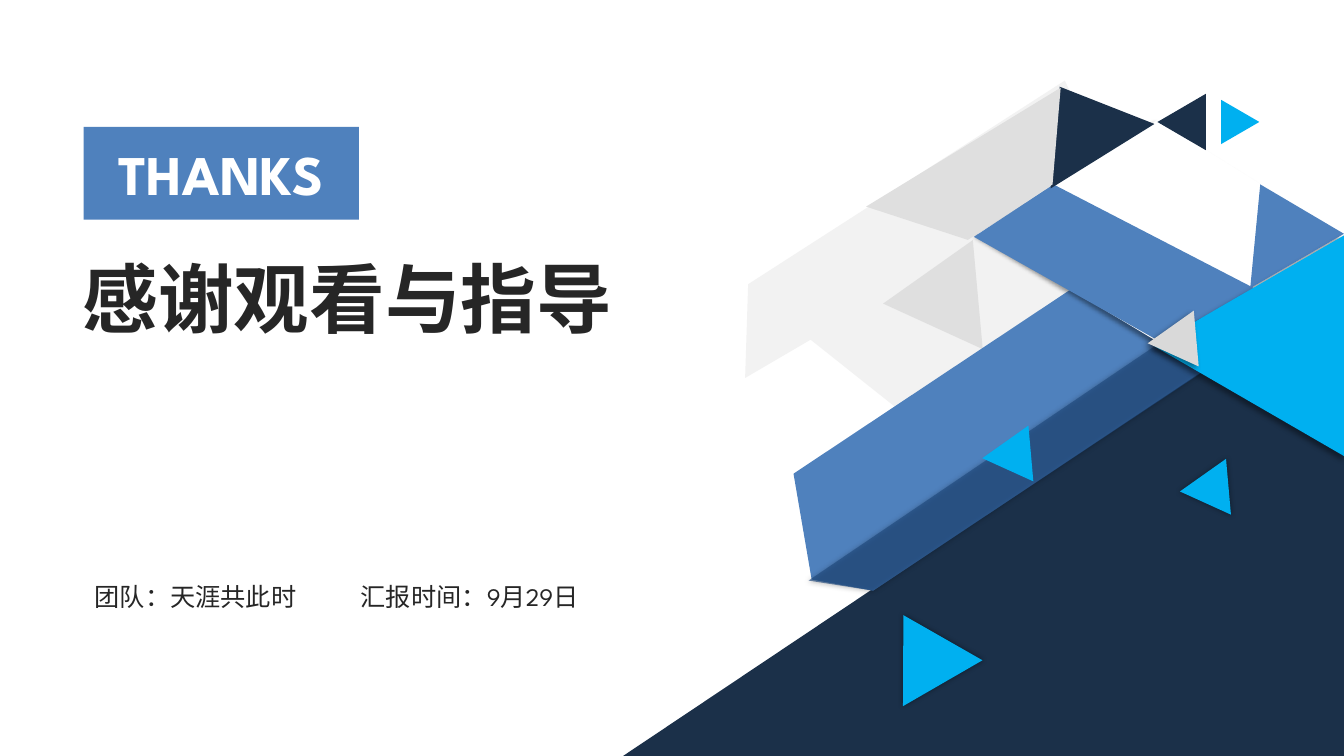
from dataclasses import dataclass

from lxml import etree
from pptx import Presentation
from pptx.dml.color import RGBColor
from pptx.enum.shapes import MSO_SHAPE
from pptx.enum.text import MSO_ANCHOR, MSO_AUTO_SIZE, PP_ALIGN
from pptx.oxml.ns import qn
from pptx.util import Inches, Pt

TRIANGLE, RIGHT_TRIANGLE = MSO_SHAPE.ISOSCELES_TRIANGLE, MSO_SHAPE.RIGHT_TRIANGLE
RECTANGLE = MSO_SHAPE.RECTANGLE
TOP, MIDDLE = MSO_ANCHOR.TOP, MSO_ANCHOR.MIDDLE
LEFT, CENTER, JUSTIFY = PP_ALIGN.LEFT, PP_ALIGN.CENTER, PP_ALIGN.JUSTIFY
GROW = MSO_AUTO_SIZE.SHAPE_TO_FIT_TEXT


@dataclass(frozen=True)
class Theme:
    """Colours, font and type sizes of the slide."""
    white: str = "FFFFFF"
    pale: str = "F2F2F2"
    silver: str = "DFDFDF"
    grey: str = "D9D9D9"
    ink: str = "262626"
    navy: str = "1B3049"
    deep: str = "1F497D"
    blue: str = "4F81BD"
    cyan: str = "00B0F0"
    black: str = "000000"
    font: str = "League Spartan"
    headline: int = 54
    badge: int = 40
    detail: int = 18


THEME = Theme()
GLOW = (4, 0, 50)  # shadow blur, distance (points) and direction (degrees)
CAST = (4, 3, 135)
SOFT_CAST = (3, 3, 135)


def add_alpha(color, percent):
    """Make a colour element partly transparent."""
    etree.SubElement(color, qn("a:alpha"), val=str(percent * 1000))


def paint(shape, color, alpha=None, shadow=None):
    """Give a shape a plain fill, no line and an optional shadow."""
    shape.shadow.inherit = False
    shape.line.fill.background()
    shape.fill.solid()
    shape.fill.fore_color.rgb = RGBColor.from_string(color)
    properties = shape._element.spPr
    if alpha:
        add_alpha(properties.find(".//" + qn("a:solidFill") + "/" + qn("a:srgbClr")), alpha)
    if shadow:
        blur, distance, direction = shadow
        outer = etree.SubElement(
            properties.find(qn("a:effectLst")), qn("a:outerShdw"),
            blurRad=str(Pt(blur)), dist=str(Pt(distance)),
            dir=str(direction * 60000), algn="ctr", rotWithShape="0")
        add_alpha(etree.SubElement(outer, qn("a:srgbClr"), val=THEME.black), 40)


def write(shape, text, size, color, align, bold=False, anchor=TOP):
    """Set one line of text and format it."""
    frame = shape.text_frame
    frame.text = text
    frame.word_wrap = True
    frame.vertical_anchor = anchor
    para = frame.paragraphs[0]
    para.alignment = align
    font = para.runs[0].font
    font.name, font.size, font.bold = THEME.font, Pt(size), bold
    font.color.rgb = RGBColor.from_string(color)


def place(box, left, top, width, height):
    """Turn a place inside a box into slide lengths."""
    return [Inches(n) for n in (box[0] + left, box[1] + top, width, height)]


def add_facet(page, box, points, color, alpha=None, shadow=None):
    """Draw a closed polygon from points inside the box."""
    corners = [(Inches(box[0] + x), Inches(box[1] + y)) for x, y in points]
    builder = page.shapes.build_freeform(*corners[0])
    builder.add_line_segments(corners[1:], close=True)
    paint(builder.convert_to_shape(), color, alpha, shadow)


def add_triangle(page, box, spot, turn, color, alpha=None, shadow=None):
    """Draw a turned triangle inside the box."""
    shape = page.shapes.add_shape(TRIANGLE, *place(box, *spot))
    shape.rotation = turn
    paint(shape, color, alpha, shadow)


def add_artwork(page, box):
    """Build the folded ribbons and loose triangles, back to front."""
    tilt = 144.7
    add_facet(page, box, [(2.97, 4.11), (2.04, 3.37), (1.39, 3.75), (1.42, 2.82),
                          (4.56, 0.8), (5.4, 2.49)], THEME.pale)
    add_triangle(page, box, (2.93, 2.61, 1.09, 0.94), tilt, THEME.grey, alpha=73)

    corner = page.shapes.add_shape(RIGHT_TRIANGLE, *place(box, 0.18, 2.71, 7.16, 4.79))
    corner._element.spPr.find(qn("a:xfrm")).set("flipH", "1")
    paint(corner, THEME.navy)
    add_triangle(page, box, (2.7, 6.05, 0.91, 0.78), 330, THEME.cyan, shadow=GLOW)
    add_triangle(page, box, (5.79, 4.67, 0.56, 0.48), tilt, THEME.cyan, shadow=GLOW)

    add_facet(page, box, [(2.66, 5.86), (2.05, 5.75), (1.87, 4.7), (5.78, 2.1),
                          (6.26, 3.46)], THEME.blue)
    add_facet(page, box, [(2.66, 5.86), (2.02, 5.76), (6.11, 2.99), (6.26, 3.47)],
              THEME.deep, alpha=66, shadow=GLOW)
    add_triangle(page, box, (3.83, 4.34, 0.56, 0.48), tilt, THEME.cyan)

    add_facet(page, box, [(3.7, 2.32), (5.48, 1.19), (7.31, 2.33), (5.48, 3.39)],
              THEME.white, shadow=SOFT_CAST)
    add_facet(page, box, [(5.49, 3.38), (3.66, 2.35), (4.45, 1.83), (6.46, 2.87)],
              THEME.blue)
    add_facet(page, box, [(6.4, 2.86), (6.5, 1.83), (7.33, 2.32)], THEME.blue)
    add_triangle(page, box, (5.29, 2.48, 2.2, 1.9), 270, THEME.cyan, shadow=CAST)
    add_triangle(page, box, (5.47, 3.2, 0.56, 0.48), tilt, THEME.grey, shadow=CAST)

    add_triangle(page, box, (5.44, 0.97, 0.56, 0.48), 270, THEME.navy)
    add_triangle(page, box, (6.08, 1.02, 0.44, 0.38), 90, THEME.cyan)
    add_facet(page, box, [(4.42, 1.87), (4.51, 0.86), (5.45, 1.23)], THEME.navy)
    add_facet(page, box, [(4.52, 0.87), (4.44, 1.83), (3.6, 2.38), (2.59, 2.05)],
              THEME.silver)


def add_message(page, box):
    """Place the badge, the headline and the two details."""
    badge = page.shapes.add_shape(RECTANGLE, *place(box, 0.11, 0, 2.73, 0.92))
    paint(badge, THEME.blue)
    write(badge, "THANKS", THEME.badge, THEME.white, CENTER, bold=True, anchor=MIDDLE)

    title = page.shapes.title
    title.left, title.top, title.width, title.height = place(box, 0, 1.19, 6.26, 1.01)
    write(title, "感谢观看与指导", THEME.headline, THEME.ink, JUSTIFY, bold=True)
    title.text_frame.auto_size = GROW

    details = [(0.12, 2.28, "团队：天涯共此时", LEFT),
               (2.76, 2.64, "汇报时间：9月29日", JUSTIFY)]
    for left, width, text, align in details:
        detail = page.shapes.add_textbox(*place(box, left, 4.46, width, 0.4))
        write(detail, text, THEME.detail, THEME.ink, align)
        detail.text_frame.auto_size = GROW


def build_closing_page(deck):
    """Add the closing slide."""
    page = deck.slides.add_slide(deck.slide_layouts[5])
    add_artwork(page, (6, 0))
    add_message(page, (0.72, 1.26))


deck = Presentation()
deck.slide_width, deck.slide_height = Inches(13.33), Inches(7.5)
build_closing_page(deck)
deck.save("out.pptx")
